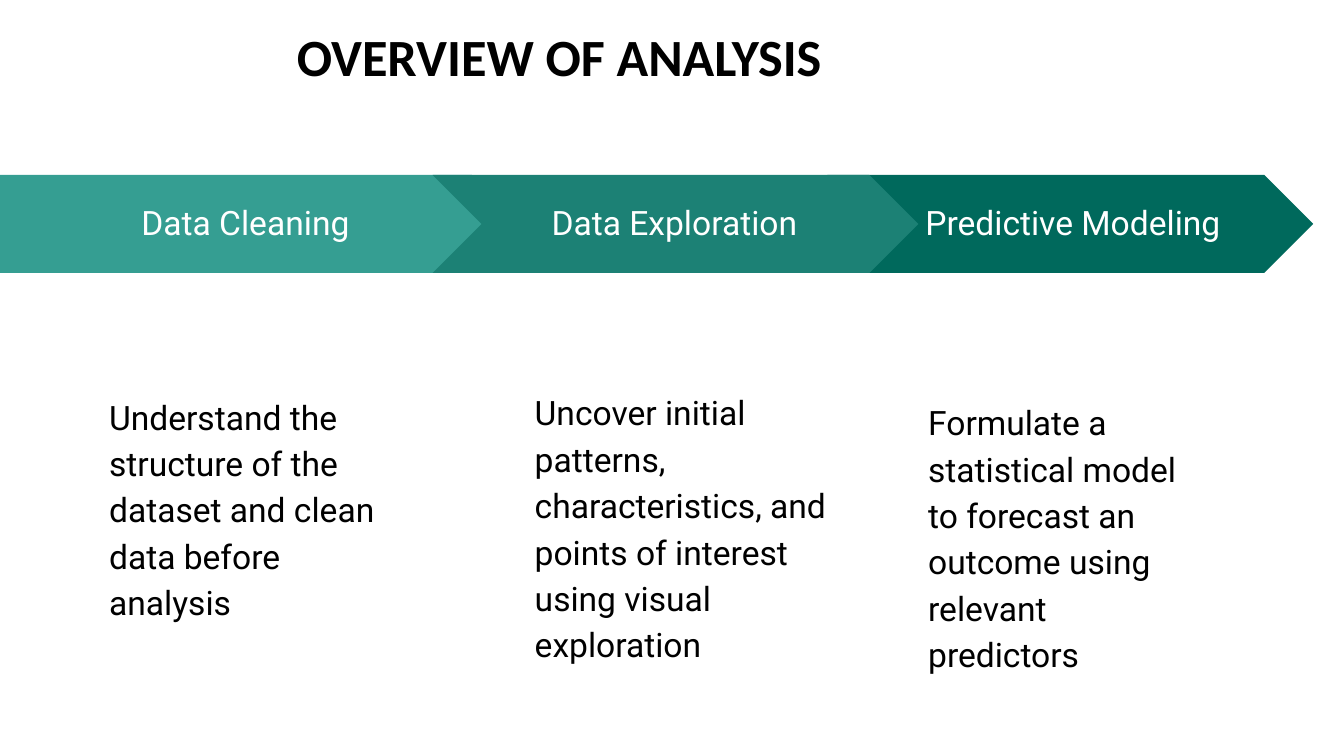
import pptx
import pptx.dml.color
import pptx.enum.shapes
import pptx.util
from dataclasses import dataclass

PX = 9525  # EMU per px, 96 px to the inch


@dataclass(frozen=True)
class Theme:
    heading_font: str = "Calibri"
    body_font: str = "Roboto"
    heading_size: int = 28
    body_size: int = 18
    ink: str = "000000"
    paper: str = "FFFFFF"
    light: str = "359E92"
    middle: str = "1C8175"
    dark: str = "00695C"


THEME = Theme()
SHAPES = pptx.enum.shapes.MSO_SHAPE

# Name, shape, fill, box, label offset, description box, description
STAGES = [
    ("Predictive Modeling", SHAPES.CHEVRON, THEME.dark, (591, 125, 347, 70), 69,
     (662, 282, 194, 168),
     "Formulate a statistical model to forecast an outcome using relevant predictors"),
    ("Data Cleaning", SHAPES.PENTAGON, THEME.light, (0, 125, 372, 70), 100,
     (77, 278, 204, 135),
     "Understand the structure of the dataset and clean data before analysis"),
    ("Data Exploration", SHAPES.CHEVRON, THEME.middle, (309, 125, 347, 70), 84,
     (381, 275, 213, 202),
     "Uncover initial patterns, characteristics, and points of interest "
     "using visual exploration"),
]


def emu(box):
    return [pptx.util.Emu(length * PX) for length in box]


def color(value):
    return pptx.dml.color.RGBColor.from_string(value)


def add_text(slide, box, text, font, size, ink, insets, bold=False, wrap=True,
             line_spacing=None):
    frame = slide.shapes.add_textbox(*emu(box)).text_frame
    frame.word_wrap = wrap
    (frame.margin_left, frame.margin_top,
     frame.margin_right, frame.margin_bottom) = emu(insets)
    paragraph = frame.paragraphs[0]
    paragraph.line_spacing = line_spacing
    run = paragraph.add_run()
    run.text = text
    run.font.name = font
    run.font.size = pptx.util.Pt(size)
    run.font.bold = bold
    run.font.color.rgb = color(ink)


def add_title(slide, box):
    add_text(slide, box, "OVERVIEW OF ANALYSIS", THEME.heading_font,
             THEME.heading_size, THEME.ink, (10, 5, 10, 5), bold=True)


def add_arrow(slide, box, name, kind, fill, label_offset):
    left, top, width, height = box
    shape = slide.shapes.add_shape(kind, *emu(box))
    shape.adjustments[0] = 0.5
    shape.shadow.inherit = False
    shape.fill.solid()
    shape.fill.fore_color.rgb = color(fill)
    shape.line.fill.background()
    label_box = (left + label_offset, top + 18,
                 width - label_offset - height // 2, 32)
    add_text(slide, label_box, name, THEME.body_font, THEME.body_size,
             THEME.paper, (1, 1, 0, 0), wrap=False)


def add_description(slide, box, text):
    add_text(slide, box, text, THEME.body_font, THEME.body_size, THEME.ink,
             (1, 1, 0, 0), line_spacing=1.15)


def main():
    presentation = pptx.Presentation()
    presentation.slide_width, presentation.slide_height = emu((960, 540))
    slide = presentation.slides.add_slide(presentation.slide_layouts[6])

    # Stages, back to front: the middle arrow overlaps both neighbours
    for name, kind, fill, box, label_offset, description_box, text in STAGES:
        add_arrow(slide, box, name, kind, fill, label_offset)
        add_description(slide, description_box, text)

    # Heading
    add_title(slide, (202, 12, 712, 55))
    presentation.save("out.pptx")


if __name__ == "__main__":
    main()
